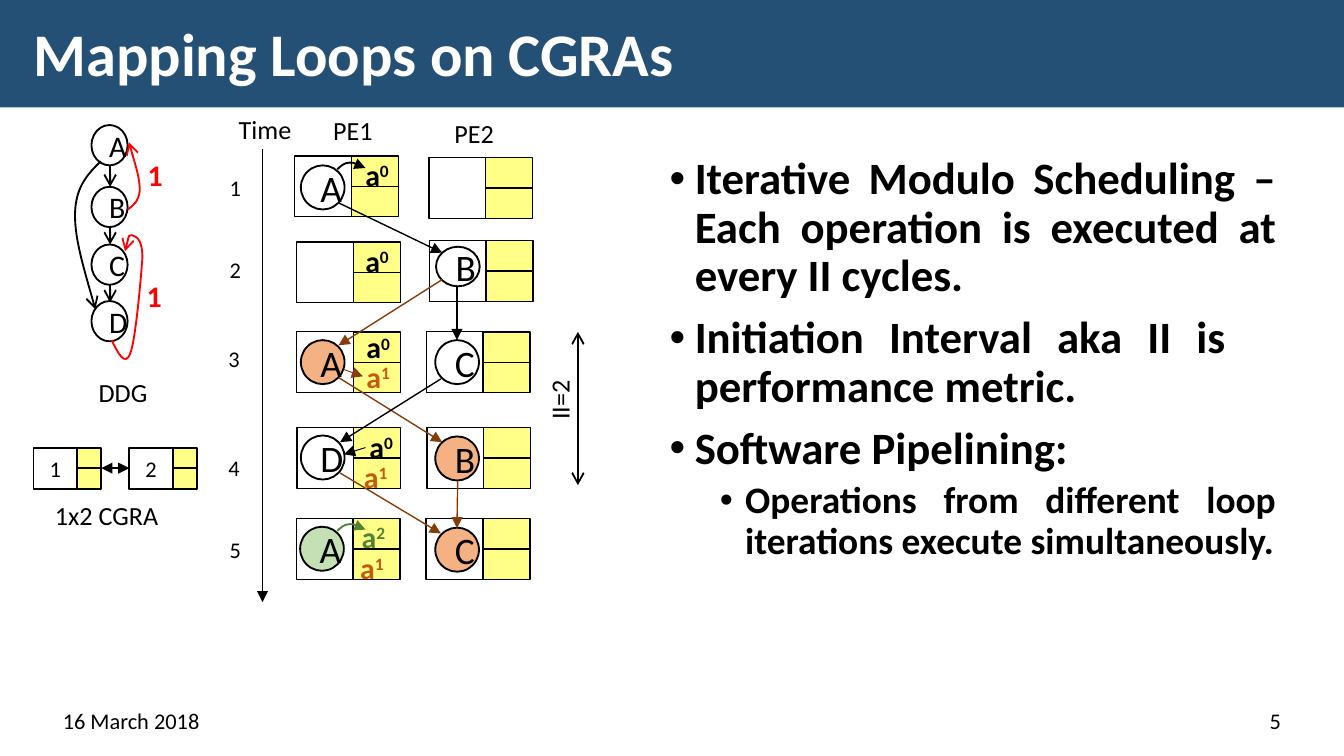
"""Build the slide on mapping loops to a CGRA."""
from lxml import etree
from pptx import Presentation, util as u
from pptx.dml.color import RGBColor
from pptx.enum import shapes as sh, text as tx
from pptx.oxml.ns import qn

Pt = u.Pt
rgb = RGBColor.from_string
RECT, OVAL = sh.MSO_SHAPE.RECTANGLE, sh.MSO_SHAPE.OVAL
BLACK, RED, BROWN, GREEN, RUST = "000000", "FF0000", "843C0B", "548235", "C55A11"
YELLOW, PEACH, MINT, WHITE = "FFFF87", "F4B183", "C5E0B4", "FFFFFF"

deck = Presentation()
deck.slide_width, deck.slide_height = Pt(720), Pt(405)
slide = deck.slides.add_slide(deck.slide_layouts[5])


def box(x, y, w, h, word="", size=14, kind=None, fill=None, edge=1, ink=BLACK, bold=False):
    """Add a preset shape, or a plain text box when no kind is given."""
    if kind is None:
        item = slide.shapes.add_textbox(Pt(x), Pt(y), Pt(w), Pt(h))
    else:
        item = slide.shapes.add_shape(kind, Pt(x), Pt(y), Pt(w), Pt(h))
        item.shadow.inherit = False
        item.line.color.rgb = rgb(BLACK)
        item.line.width = Pt(edge)
        if fill:
            item.fill.solid()
            item.fill.fore_color.rgb = rgb(fill)
        else:
            item.fill.background()
    if word:
        item.text_frame.word_wrap = not bold
        para = item.text_frame.paragraphs[0]
        para.text = word
        para.alignment = tx.PP_ALIGN.CENTER if kind else tx.PP_ALIGN.LEFT
        font = para.font
        font.name, font.size, font.bold = "Calibri", Pt(size), bold
        font.color.rgb = rgb(ink)
    return item


def link(dots, ink=BLACK, width=0.75, tip="triangle", both=False):
    """Draw an arrow: straight for two dots, else a chain of cubic curves."""
    dots = [(Pt(x), Pt(y)) for x, y in dots]
    if len(dots) == 2:
        item = slide.shapes.add_connector(sh.MSO_CONNECTOR.STRAIGHT, *dots[0], *dots[1])
    else:
        pen = slide.shapes.build_freeform(*dots[0])
        pen.add_line_segments(dots[1:], close=False)
        item = pen.convert_to_shape()
        item.fill.background()
        legs = item.element.findall(".//" + qn("a:lnTo"))
        for i in range(0, len(legs), 3):
            curve = etree.Element(qn("a:cubicBezTo"))
            legs[i].addprevious(curve)
            for leg in legs[i:i + 3]:
                curve.append(leg[0])
                leg.getparent().remove(leg)
    item.line.color.rgb = rgb(ink)
    item.line.width = Pt(width)
    ln = item.line._get_or_add_ln()
    for end in ("a:headEnd", "a:tailEnd") if both else ("a:tailEnd",):
        etree.SubElement(ln, qn(end), type=tip)
    etree.SubElement(item.element.spPr, qn("a:effectLst"))
    return item


title = slide.shapes.title
band = box(0, 0, 720, 57.6, kind=RECT, fill="255076")
band.line.fill.background()
title.element.addprevious(band.element)
title.left, title.top, title.width, title.height = Pt(10.8), Pt(7.6), Pt(698.4), Pt(45.4)
title.text_frame.text = "Mapping Loops on CGRAs"
title.text_frame.auto_size = tx.MSO_AUTO_SIZE.NONE
title.text_frame.vertical_anchor = tx.MSO_ANCHOR.MIDDLE
head = title.text_frame.paragraphs[0]
head.alignment, head.line_spacing = tx.PP_ALIGN.LEFT, 0.9
head.font.name, head.font.size, head.font.bold = "Calibri", Pt(32.4), True
head.font.color.rgb = rgb(WHITE)

date = box(26.6, 375.1, 185, 21.6, "16 March 2018", 12)
page = box(508.3, 375.1, 185, 21.6, "5", 12)
page.text_frame.paragraphs[0].alignment = tx.PP_ALIGN.RIGHT
for foot in (date, page):
    foot.text_frame.vertical_anchor = tx.MSO_ANCHOR.BOTTOM

body = box(351.6, 80.1, 339.1, 284.4).text_frame
body.word_wrap = True
points = [
    ("Iterative Modulo Scheduling – Each operation is executed at every II cycles.", 0, 0),
    ("Initiation Interval aka II is performance metric.", 0, 27),
    ("Software Pipelining:", 0, 0),
    ("Operations from different loop iterations execute simultaneously.", 1, 0),
]
for i, (word, level, right) in enumerate(points):
    para = body.add_paragraph() if i else body.paragraphs[0]
    para.text, para.level = word, level
    para.alignment, para.line_spacing = tx.PP_ALIGN.JUSTIFY, 0.9
    para.space_before = Pt(0 if i == 0 else 3.8 if level else 7.5)
    props = para._p.get_or_add_pPr()
    props.set("marL", str(Pt(40.5 if level else 13.5)))
    props.set("marR", str(Pt(right)))
    props.set("indent", str(Pt(-13.5)))
    etree.SubElement(props, qn("a:buFont"), typeface="Arial")
    etree.SubElement(props, qn("a:buChar"), char="•")
    para.font.name, para.font.bold = "Calibri", True
    para.font.size = Pt(20 if level else 24)
    para.font.color.rgb = rgb(BLACK)

for word, y in zip("ABCD", (67, 100.1, 131, 161.3)):
    box(49, y, 19.4, 21.6, word, 16, OVAL, WHITE)
for top, low in ((88.6, 100.1), (121.7, 131), (152.6, 162)):
    link([(59, top), (59, low)], width=1, tip="arrow")
link([(68.4, 112.3), (71.3, 110.2), (74.2, 108), (74.9, 102.2),
      (74.9, 95.8), (72, 86.4), (69.1, 76.3)], RED, 1, "arrow")
link([(59.8, 182.2), (63.4, 189.4), (67, 196.6), (69.8, 189.4), (72.7, 182.2),
      (75.6, 148.3), (76.3, 138.2), (76.3, 127.4), (72.7, 126.7), (70.6, 126),
      (69.1, 125.3), (67.7, 130.3), (67, 134.6)], RED, 1, "arrow")
link([(54, 86.4), (47.5, 92.9), (41, 99.4), (40.3, 113),
      (39.6, 126), (45.4, 145.4), (51.1, 165.6)], width=1, tip="arrow")
for x, y in ((72, 80.2), (71.5, 145.4)):
    box(x, y, 23, 26.6, "1", 16, ink=RED, bold=True)
ddg = box(35.3, 198, 61.2, 24.5, "DDG")
ddg.text_frame.paragraphs[0].alignment = tx.PP_ALIGN.CENTER

for word, x in (("1", 18), ("2", 69.3)):
    core = box(x, 239.8, 23.3, 22, word, 12, RECT)
    for y in (239.8, 250.8):
        box(x + 23.3, y, 13, 11, kind=RECT, fill=YELLOW)
link([(54.3, 250.8), (69.3, 250.8)], width=1, both=True).end_connect(core, 1)
box(22.3, 263.8, 79.2, 24.5, "1x2 CGRA")

cells = [(157.9, 83.5), (159, 129.6), (159, 177.8), (159.1, 229), (158.7, 277.9),
         (229.8, 84.4), (230, 128.9), (228.4, 177.8), (228.7, 229), (228.3, 277.9)]
for x, y in cells:
    box(x, y, 30.4, 32.6, kind=RECT, edge=0.75)
    for k in (0, 1):
        box(x + 30.4, y + 16.3 * k, 25.2, 16.3, kind=RECT, fill=YELLOW, edge=0.75)

nodes = [("A", 161.2, 88.6, None), ("B", 233.6, 132.2, None), ("C", 233.2, 182.2, None),
         ("A", 161.2, 182.2, PEACH), ("B", 233.2, 233.8, PEACH), ("D", 161.2, 233.3, None),
         ("C", 233.2, 282.7, PEACH), ("A", 160.8, 282.2, MINT)]
for word, x, y, fill in nodes:
    box(x, y, 23.4, 21.2 if y == 132.2 else 23.6, word, 20, OVAL, fill)

for ink, ax, ay, bx, by in [
        (BLACK, 181.4, 108.7, 236.9, 135.4), (BROWN, 236.9, 149.8, 181.4, 185),
        (BLACK, 244.8, 153.4, 244.8, 182.2), (BROWN, 181.4, 202.3, 236.9, 236.9),
        (BLACK, 236.2, 203, 182.2, 236.9), (BROWN, 245.2, 257.8, 244.8, 283),
        (BROWN, 182.2, 253.4, 236.2, 285.8)]:
    link([(ax, ay), (bx, by)], ink)
link([(184.3, 198), (194.4, 201.6)], BROWN, 0.5)
link([(195.8, 239.8), (184.3, 243.4)], BLACK, 0.5)
for ink, drop in ((BLACK, 0), (GREEN, 193.7)):
    arc = [(180.7, 90.7), (182.2, 89.3), (184.3, 87.1), (187.2, 87.1),
           (190.1, 87.1), (193.7, 89.3), (195.8, 90)]
    link([(x, y + drop) for x, y in arc], ink, 1)

for power, ink, x, y in [
        ("0", BLACK, 188.6, 80.2), ("0", BLACK, 188.6, 126.3), ("0", BLACK, 189.2, 172.8),
        ("0", BLACK, 190.8, 226.1), ("1", RUST, 189.2, 188.8), ("1", RUST, 187.9, 242.1),
        ("1", RUST, 185.8, 290.9), ("2", GREEN, 186.7, 274.5)]:
    run = box(x, y, 28.1, 26.6, "a", 16, ink=ink, bold=True).text_frame.paragraphs[0].add_run()
    run.text = power
    run.font._element.set("baseline", "30000")

link([(140.6, 79.9), (140.6, 322.6)], width=1)
for word, x, y in (("Time", 120.8, 57.4), ("PE1", 171.4, 57.6), ("PE2", 236.4, 59.3)):
    box(x, y, 52.6, 24.5, word)
for i, y in enumerate((90, 133.9, 181.4, 239.8, 283.7), 1):
    box(115.2 if i in (3, 4) else 115.9, y, 28.1, 21.6, str(i), 12)
link([(309.6, 177.8), (309.6, 259.9)], width=1, tip="arrow", both=True)
box(280.1, 200, 39.6, 24.5, "II=2").rotation = 270

deck.save("out.pptx")
